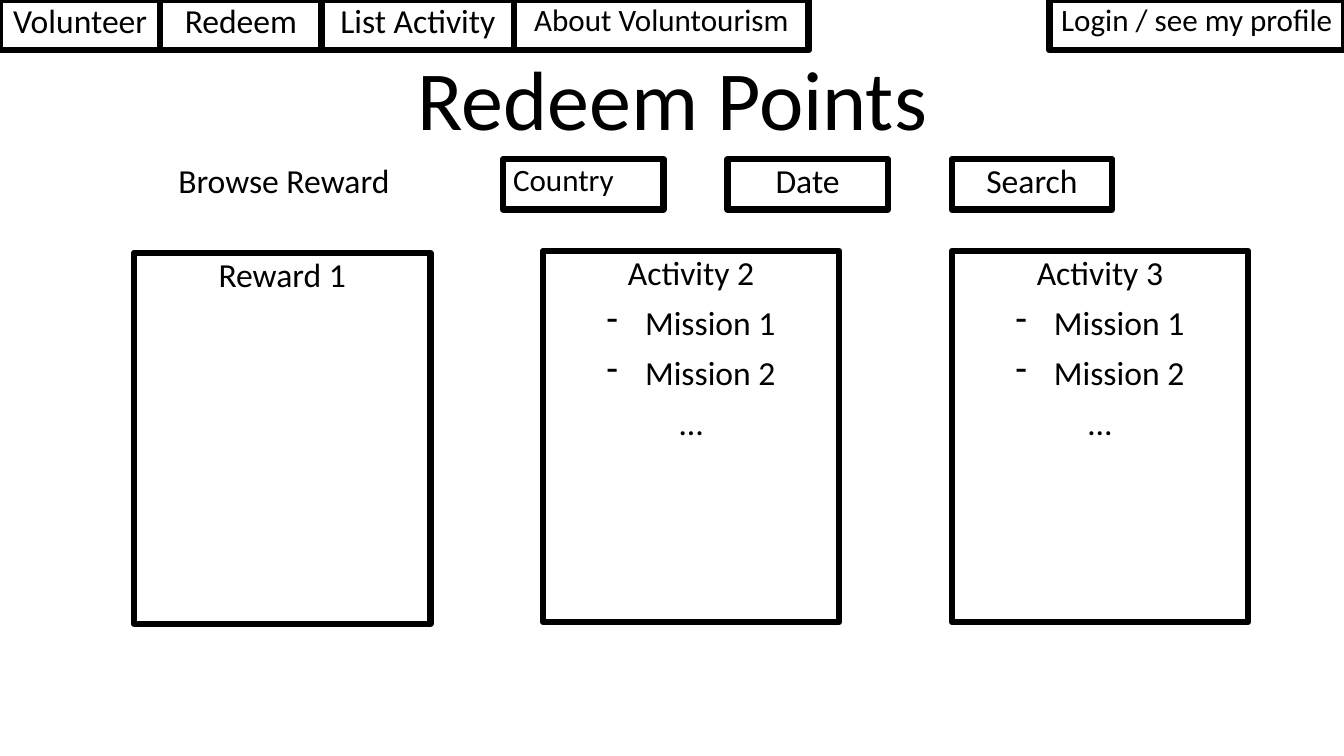
from dataclasses import dataclass

from lxml import etree
from pptx import Presentation
from pptx.dml.color import RGBColor
from pptx.enum.shapes import MSO_SHAPE
from pptx.enum.text import MSO_ANCHOR, PP_ALIGN
from pptx.oxml.ns import qn
from pptx.util import Inches, Pt

RECTANGLE = MSO_SHAPE.RECTANGLE
TOP, BOTTOM = MSO_ANCHOR.TOP, MSO_ANCHOR.BOTTOM
LEFT, CENTER = PP_ALIGN.LEFT, PP_ALIGN.CENTER


@dataclass(frozen=True)
class Theme:
    font: str = "Calibri"
    ink: RGBColor = RGBColor(0, 0, 0)
    title: float = 60
    body: float = 24
    compact: float = 22.2
    border: float = 4.5
    line_spacing: float = 0.9
    space_before: float = 10
    bullet_indent: float = 0.38


THEME = Theme()
BUTTON_WIDTH, BUTTON_HEIGHT = 1.59, 0.5
MISSIONS = ["Mission 1", "Mission 2"]


def add_dash(para):
    properties = para._p.get_or_add_pPr()
    indent = Inches(THEME.bullet_indent)
    properties.set("marL", str(indent))
    properties.set("indent", str(-indent))
    etree.SubElement(properties, qn("a:buChar")).set("char", "-")


def write(shape, lines, size=THEME.body, align=CENTER, anchor=TOP, bullets=(), space=THEME.space_before):
    frame = shape.text_frame
    frame.word_wrap = True
    frame.vertical_anchor = anchor
    for index, line in enumerate(lines):
        para = frame.add_paragraph() if index else frame.paragraphs[0]
        para.alignment = align
        para.line_spacing = THEME.line_spacing
        para.space_before = Pt(space)
        if line in bullets:
            add_dash(para)
        span = para.add_run()
        span.text = line
        span.font.name = THEME.font
        span.font.size = Pt(size)
        span.font.color.rgb = THEME.ink


def add_label(page, box, text, **style):
    write(page.shapes.add_textbox(*map(Inches, box)), [text], **style)


def add_frame(page, box, lines, **style):
    frame = page.shapes.add_shape(RECTANGLE, *map(Inches, box))
    frame.shadow.inherit = False
    frame.fill.background()
    frame.line.color.rgb = THEME.ink
    frame.line.width = Pt(THEME.border)
    write(frame, lines, **style)


def add_navigation(page, box):
    left, top, width, height = box
    tabs = [
        ("Volunteer", BUTTON_WIDTH, THEME.body),
        ("Redeem", 1.6, THEME.body),
        ("List Activity", 1.91, THEME.body),
        ("About Voluntourism", 2.92, THEME.compact),
    ]
    tab_left = left
    for text, tab_width, size in tabs:
        add_frame(page, (tab_left, top, tab_width, height), [text], size=size)
        tab_left += tab_width
    login_width = 2.92
    login_box = (left + width - login_width, top, login_width, height)
    add_frame(page, login_box, ["Login / see my profile"], size=THEME.compact)


def add_filters(page, box):
    left, top, width, height = box
    add_label(page, (left, top, 3, height), "Browse Reward", align=LEFT)
    filters = [
        ("Country", THEME.compact, LEFT),
        ("Date", THEME.body, CENTER),
        ("Search", THEME.body, CENTER),
    ]
    first, pitch = left + 3.32, 2.225
    for index, (text, size, align) in enumerate(filters):
        button = (first + index * pitch, top, BUTTON_WIDTH, height)
        add_frame(page, button, [text], size=size, align=align)


def add_cards(page, box):
    left, top, width, height = box
    card_width = 2.94
    pitch = (width - card_width) / 2
    cards = [
        (["Reward 1"], 0.02),
        (["Activity 2", *MISSIONS, "…"], 0),
        (["Activity 3", *MISSIONS, "…"], 0),
    ]
    for index, (lines, drop) in enumerate(cards):
        card = (left + index * pitch, top + drop, card_width, height)
        add_frame(page, card, lines, bullets=MISSIONS)


def main():
    deck = Presentation()
    deck.slide_width, deck.slide_height = Inches(13.33), Inches(7.5)
    page = deck.slides.add_slide(deck.slide_layouts[6])
    add_label(page, (1.67, 0.5, 10, 1.02), "Redeem Points", size=THEME.title, anchor=BOTTOM, space=0)
    add_filters(page, (1.67, 1.58, 9.36, BUTTON_HEIGHT))
    add_cards(page, (1.33, 2.49, 11.05, 3.68))
    add_navigation(page, (0, 0, 13.33, BUTTON_HEIGHT))
    deck.save("out.pptx")


if __name__ == "__main__":
    main()
